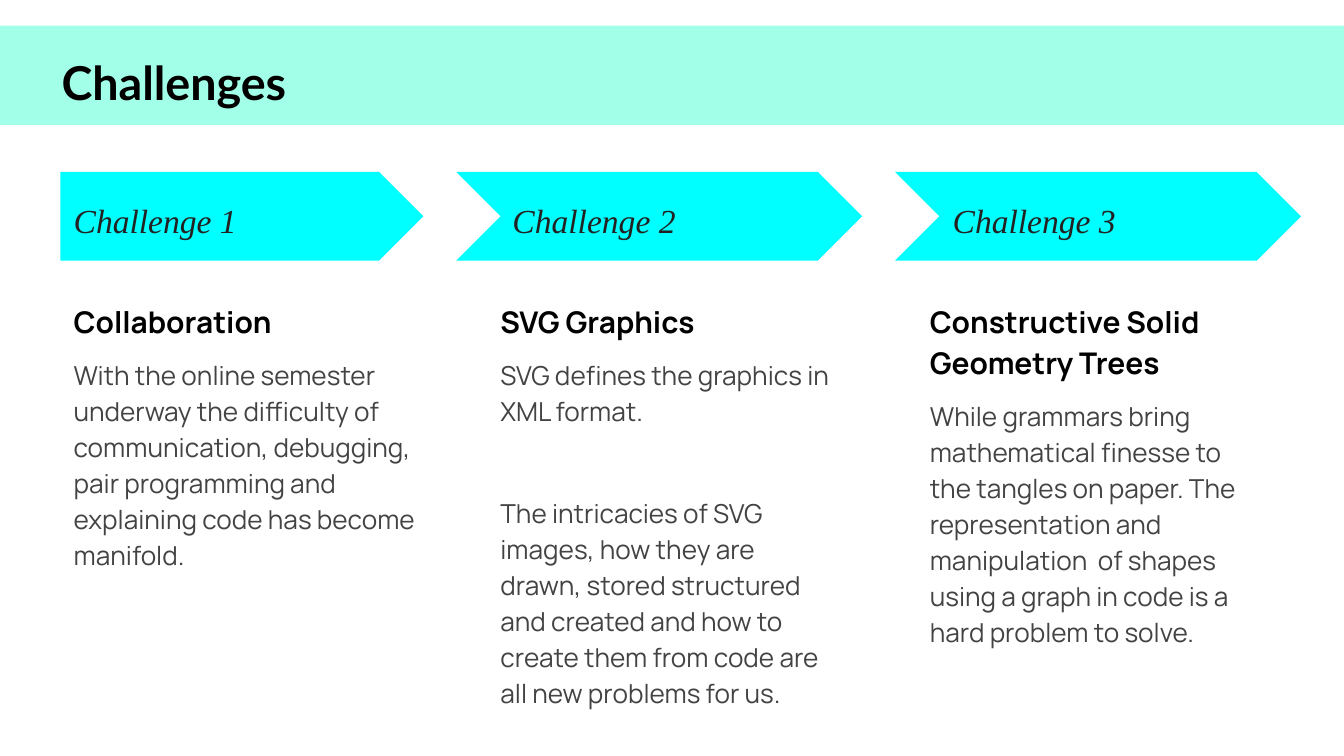
from dataclasses import dataclass

from pptx import Presentation
from pptx.dml.color import RGBColor as Color
from pptx.enum.shapes import MSO_SHAPE as Shape
from pptx.enum.text import MSO_ANCHOR as Anchor
from pptx.util import Inches, Pt


@dataclass(frozen=True)
class Theme:
    band: str = "A2FFE8"
    arrow: str = "00FFFF"
    # Each text style: font, size, colour, bold, italic
    title: tuple = ("Lato", 25, "000000", True, False)
    label: tuple = ("Times New Roman", 18, "222222", False, True)
    heading: tuple = ("Manrope", 16, "000000", True, False)
    body: tuple = ("Manrope", 14, "434343", False, False)
    line_spacing: float = 1.15
    paragraph_gap: int = 8
    section_gap: float = 35.5


@dataclass(frozen=True)
class Challenge:
    heading: str
    paragraphs: tuple
    label_inset: float  # insets are from the left of the column
    text_inset: float
    text_width: float
    text_height: float


THEME = Theme()
PAGE_WIDTH = 10
PAGE_HEIGHT = PAGE_WIDTH * 9 / 16
COLUMN_LEFT, COLUMN_PITCH, COLUMN_WIDTH = 0.13, 3.265, 3.02
COLUMN_TOP, ARROW_HEIGHT = 1.28, 0.66
NOTCH = 0.32

CHALLENGES = (
    Challenge("Collaboration", (
        "With the online semester underway the difficulty of communication, "
        "debugging, pair programming and explaining code has become manifold.",
    ), 0.32, 0.32, 2.76, 2.23),
    Challenge("SVG Graphics", (
        "SVG defines the graphics in XML format.",
        "The intricacies of SVG images, how they are drawn, stored structured "
        "and created and how to create them from code are all new problems for us.",
    ), 0.32, 0.23, 2.7, 3.45),
    Challenge("Constructive Solid Geometry Trees", (
        "While grammars bring mathematical finesse to the tangles on paper. "
        "The representation and manipulation  of shapes using a graph in code "
        "is a hard problem to solve.",
    ), 0.33, 0.16, 2.7, 3.45),
)


def add_block(page, kind, box, fill):
    block = page.shapes.add_shape(kind, *map(Inches, box))
    block.shadow.inherit = False
    block.fill.solid()
    block.fill.fore_color.rgb = Color.from_string(fill)
    block.line.fill.background()


def add_text_frame(page, box, anchor=Anchor.TOP):
    frame = page.shapes.add_textbox(*map(Inches, box)).text_frame
    frame.word_wrap = True
    frame.vertical_anchor = anchor
    frame.margin_left = frame.margin_right = Inches(0.1)
    frame.margin_top = frame.margin_bottom = Inches(0.1)
    return frame


def write(para, text, style):
    para.text = text
    font = para.font
    font.name, size, colour, font.bold, font.italic = style
    font.size = Pt(size)
    font.color.rgb = Color.from_string(colour)


def add_title_band(page, box):
    left, top, width, height = box
    add_block(page, Shape.RECTANGLE, box, THEME.band)
    title = add_text_frame(page, (left + 0.36, top + 0.11, 2.38, 0.52))
    write(title.paragraphs[0], "Challenges", THEME.title)


def add_arrow(page, box, number, label_inset):
    left, top, width, height = box
    if number == 1:
        add_block(page, Shape.PENTAGON,
                  (left + NOTCH, top, width - NOTCH, height), THEME.arrow)
    else:
        add_block(page, Shape.CHEVRON, box, THEME.arrow)
    label = add_text_frame(page, (left + label_inset, top + 0.19, 2.47, 0.34),
                           Anchor.MIDDLE)
    write(label.paragraphs[0], f"Challenge {number}", THEME.label)


def add_description(page, box, challenge):
    frame = add_text_frame(page, box)
    write(frame.paragraphs[0], challenge.heading, THEME.heading)
    for index, text in enumerate(challenge.paragraphs):
        para = frame.add_paragraph()
        para.space_before = Pt(THEME.section_gap if index else THEME.paragraph_gap)
        write(para, text, THEME.body)
    for para in frame.paragraphs:
        para.line_spacing = THEME.line_spacing


def add_column(page, left, number, challenge):
    add_arrow(page, (left, COLUMN_TOP, COLUMN_WIDTH, ARROW_HEIGHT), number,
              challenge.label_inset)
    add_description(page, (left + challenge.text_inset, COLUMN_TOP + 0.84,
                           challenge.text_width, challenge.text_height), challenge)


def main():
    deck = Presentation()
    deck.slide_width, deck.slide_height = Inches(PAGE_WIDTH), Inches(PAGE_HEIGHT)
    page = deck.slides.add_slide(deck.slide_layouts[6])
    for index, challenge in enumerate(CHALLENGES):
        add_column(page, COLUMN_LEFT + index * COLUMN_PITCH, index + 1, challenge)
    add_title_band(page, (0, 0.19, PAGE_WIDTH, 0.74))
    deck.save("out.pptx")


if __name__ == "__main__":
    main()
